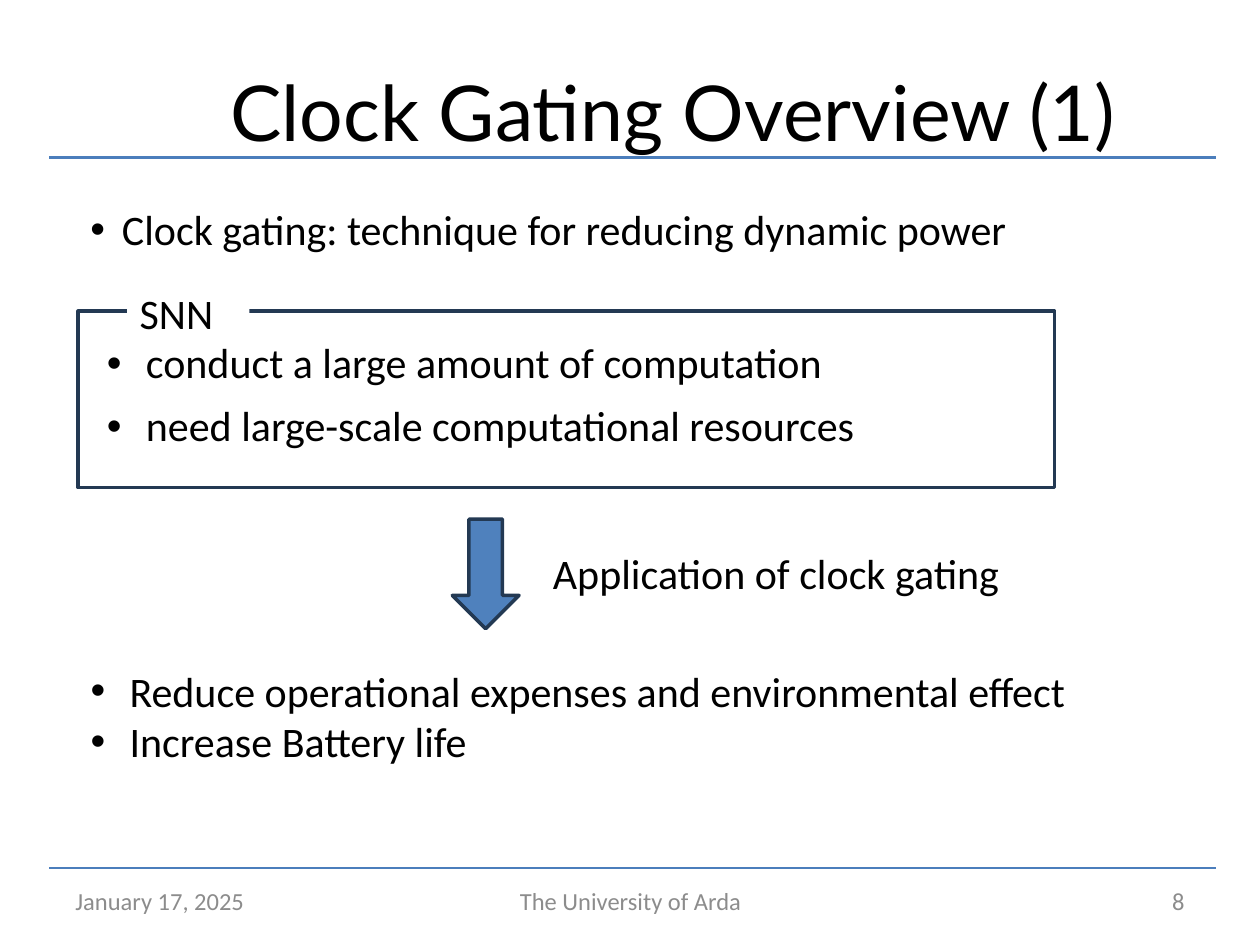
from lxml.etree import SubElement
from pptx import Presentation
from pptx.dml.color import RGBColor
from pptx.enum.shapes import MSO_CONNECTOR as Connector, MSO_SHAPE as Shape
from pptx.enum.text import MSO_ANCHOR as Anchor, PP_ALIGN as Align
from pptx.oxml.ns import qn
from pptx.util import Inches, Pt

BLACK, WHITE, GREY = "000000", "FFFFFF", "8C8C8C"
RULE_BLUE, ARROW_BLUE, NAVY = "4B7EBC", "4F81BD", "233953"


def colour(value):
    """Turn a hex string into a colour."""
    return RGBColor.from_string(value)


def box(*lengths):
    """Turn left, top, width and height in inches into lengths."""
    return [Inches(length) for length in lengths]


def add_run(paragraph, words, size=24, font="Calibri", ink=BLACK):
    """Add one formatted run to a paragraph."""
    run = paragraph.add_run()
    run.text = words
    run.font.size = Pt(size)
    run.font.name = font
    run.font.color.rgb = colour(ink)


def add_title(slide, words):
    """Place and fill the title placeholder."""
    title = slide.shapes.title
    title.left, title.top, title.width, title.height = box(0.84, 0.25, 9, 1.25)
    title.text_frame.vertical_anchor = Anchor.MIDDLE
    paragraph = title.text_frame.paragraphs[0]
    paragraph.alignment = Align.CENTER
    add_run(paragraph, words, 44, "Lato")


def add_rule(slide, y, weight):
    """Draw a horizontal rule across the slide."""
    rule = slide.shapes.add_connector(
        Connector.STRAIGHT, *box(0.39, y, 9.65, y))
    rule.line.color.rgb = colour(RULE_BLUE)
    rule.line.width = Pt(weight)
    SubElement(rule._element.spPr, qn("a:effectLst"))


def add_block(slide, preset, place, fill, outline=None):
    """Draw a filled preset shape with an optional outline."""
    block = slide.shapes.add_shape(preset, *box(*place))
    block.shadow.inherit = False
    block.fill.solid()
    block.fill.fore_color.rgb = colour(fill)
    if outline:
        block.line.color.rgb = colour(outline)
        block.line.width = Pt(2)
    else:
        block.line.fill.background()


def add_frame(slide, place, anchor=Anchor.TOP):
    """Add a wrapping text box and return its frame."""
    frame = slide.shapes.add_textbox(*box(*place)).text_frame
    frame.word_wrap = True
    frame.vertical_anchor = anchor
    return frame


def add_label(slide, place, words):
    """Add a plain one-line label."""
    add_run(add_frame(slide, place).paragraphs[0], words)


def add_footer(slide, place, words, alignment):
    """Add one grey footer entry."""
    paragraph = add_frame(slide, place, Anchor.MIDDLE).paragraphs[0]
    paragraph.alignment = alignment
    add_run(paragraph, words, 14, ink=GREY)


def add_bullets(slide, place, items, indent, spaced=True):
    """Add a bulleted list with a hanging indent."""
    frame = add_frame(slide, place)
    for index, item in enumerate(items):
        paragraph = frame.add_paragraph() if index else frame.paragraphs[0]
        if spaced:
            paragraph.line_spacing = 0.9
            paragraph.space_before = Pt(10)
        properties = paragraph._p.get_or_add_pPr()
        properties.set("marL", str(Inches(indent)))
        properties.set("indent", str(-Inches(indent)))
        SubElement(properties, qn("a:buFont"), typeface="Arial")
        SubElement(properties, qn("a:buChar"), char="•")
        add_run(paragraph, item)


def main():
    """Build the clock gating slide."""
    deck = Presentation()
    deck.slide_width, deck.slide_height = Inches(10), Inches(7.5)
    slide = deck.slides.add_slide(deck.slide_layouts[5])

    add_rule(slide, 6.89, 1.5)
    add_rule(slide, 1.25, 2.25)
    add_title(slide, "Clock Gating Overview (1)")
    add_footer(slide, (0.5, 6.95, 2.33, 0.4), "January 17, 2025", Align.LEFT)
    add_footer(slide, (3.42, 6.95, 3.17, 0.4), "The University of Arda",
               Align.CENTER)
    add_footer(slide, (7.17, 6.95, 2.33, 0.4), "8", Align.RIGHT)

    add_block(slide, Shape.RECTANGLE, (0.62, 2.47, 7.75, 1.4), WHITE, NAVY)
    add_bullets(slide, (0.62, 1.61, 7.74, 0.63),
                ["Clock gating: technique for reducing dynamic power"], 0.25)
    add_block(slide, Shape.RECTANGLE, (1.01, 2.23, 0.97, 0.47), WHITE)
    add_label(slide, (1.01, 2.23, 0.98, 0.5), "SNN")
    add_bullets(slide, (0.75, 2.67, 7.62, 1.27),
                ["conduct a large amount of computation",
                 "need large-scale computational resources"], 0.31)

    add_block(slide, Shape.DOWN_ARROW, (3.59, 4.12, 0.53, 0.87),
              ARROW_BLUE, NAVY)
    add_label(slide, (4.29, 4.3, 4.81, 0.5), "Application of clock gating")
    add_bullets(slide, (0.62, 5.23, 8.09, 0.91),
                ["Reduce operational expenses and environmental effect",
                 "Increase Battery life"], 0.31, spaced=False)

    deck.save("out.pptx")


if __name__ == "__main__":
    main()
